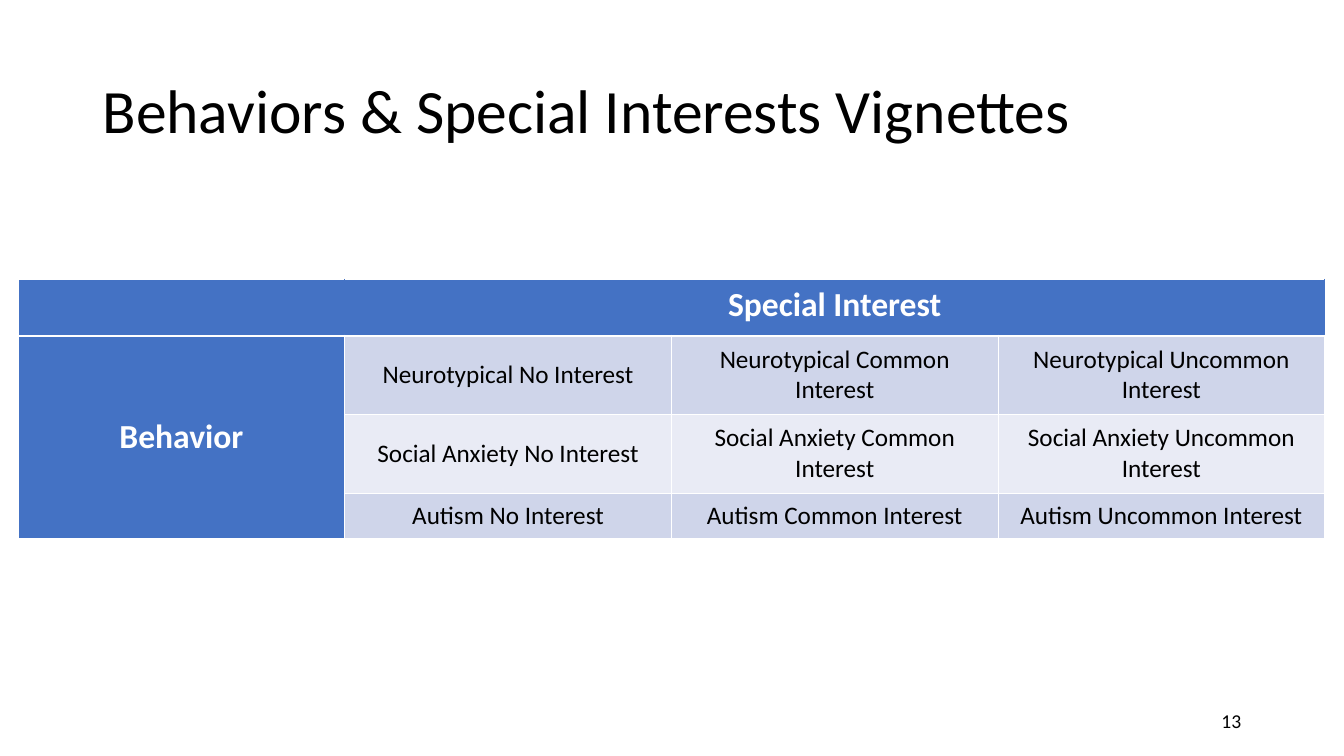
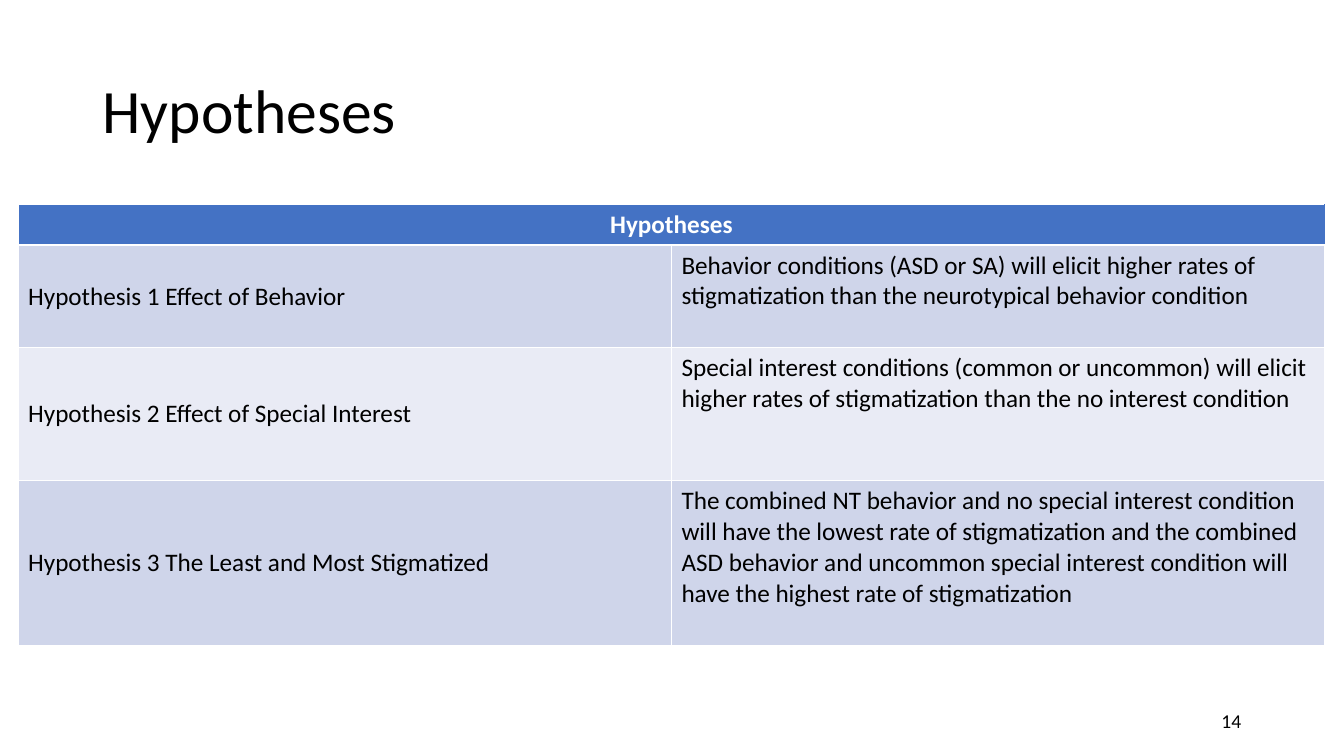
import pptx
import pptx.dml.color
import pptx.enum.text
import pptx.oxml
import pptx.oxml.ns
import pptx.util
from pptx.util import Inches, Pt

ALIGN = pptx.enum.text.PP_ALIGN
ANCHOR = pptx.enum.text.MSO_ANCHOR

FONT = "Calibri"
BLACK, WHITE = "000000", "FFFFFF"
HEADER_FILL = "4472C4"
BAND_FILLS = ["CFD5EA", "E9EBF5"]
THIN, THICK = 0.5, 1.5
TABLE_LEFT, TABLE_WIDTH = 0.18, 12.97


def colour(value):
    return pptx.dml.color.RGBColor.from_string(value)


def style_paragraph(para, size, ink=BLACK, bold=False, align=ALIGN.LEFT):
    para.alignment = align
    para.font.name = FONT
    para.font.size = Pt(size)
    para.font.bold = bold
    para.font.color.rgb = colour(ink)


def add_text(page, text, left, top, width, height, size, align=ALIGN.LEFT):
    box = page.shapes.add_textbox(
        Inches(left), Inches(top), Inches(width), Inches(height))
    frame = box.text_frame
    frame.word_wrap = True
    frame.vertical_anchor = ANCHOR.MIDDLE
    frame.text = text
    para = frame.paragraphs[0]
    style_paragraph(para, size, align=align)
    return para


def add_page(deck, title, number):
    page = deck.slides.add_slide(deck.slide_layouts[6])
    heading = add_text(page, title, 0.92, 0.4, 11.5, 1.45, 44)
    heading.line_spacing = 0.9
    add_text(page, str(number), 9.42, 6.95, 3, 0.4, 14, ALIGN.RIGHT)
    return page


def set_borders(cell, left=(WHITE, THIN), right=(WHITE, THIN),
                top=(WHITE, THIN), bottom=(WHITE, THIN)):
    """Each side is a colour and a width in points; call before filling."""
    properties = cell._tc.get_or_add_tcPr()
    for side, (ink, width) in zip("LRTB", (left, right, top, bottom)):
        properties.append(pptx.oxml.parse_xml(
            f'<a:ln{side} {pptx.oxml.ns.nsdecls("a")} w="{Pt(width)}">'
            f'<a:solidFill><a:srgbClr val="{ink}"/></a:solidFill></a:ln{side}>'))


def fill_cell(cell, text, fill, anchor, **font):
    cell.fill.solid()
    cell.fill.fore_color.rgb = colour(fill)
    cell.vertical_anchor = anchor
    cell.text = text
    style_paragraph(cell.text_frame.paragraphs[0], **font)


def add_banded_table(page, top, heights, rows, header_size, body_styles,
                     header_columns=0):
    """body_styles holds the alignment and anchor of each column."""
    count = len(body_styles)
    frame = page.shapes.add_table(
        len(rows), count, Inches(TABLE_LEFT), Inches(top),
        Inches(TABLE_WIDTH), Inches(sum(heights)))
    table = frame.table
    table.first_row = table.horz_banding = False
    for column in table.columns:
        column.width = Inches(TABLE_WIDTH / count)
    for row, height in zip(table.rows, heights):
        row.height = Inches(height)

    for r, texts in enumerate(rows):
        for c, text in enumerate(texts):
            cell = table.cell(r, c)
            if r == 0:
                seam = (HEADER_FILL, THIN)
                edge = (WHITE, THIN)
                set_borders(cell, left=seam if c else edge,
                            right=seam if c < count - 1 else edge,
                            bottom=(WHITE, THICK))
            else:
                set_borders(cell, top=(WHITE, THICK if r == 1 else THIN))
            if r == 0 or c < header_columns:
                fill_cell(cell, text, HEADER_FILL,
                          ANCHOR.MIDDLE if r else ANCHOR.TOP,
                          size=header_size, ink=WHITE, bold=True,
                          align=ALIGN.CENTER)
            else:
                align, anchor = body_styles[c]
                fill_cell(cell, text, BAND_FILLS[(r - 1) % 2], anchor,
                          size=18, align=align)
    return table


def add_vignettes(deck):
    page = add_page(deck, "Behaviors & Special Interests Vignettes", 13)
    interests = ["No Interest", "Common Interest", "Uncommon Interest"]
    behaviors = ["Neurotypical", "Social Anxiety", "Autism"]
    rows = [["", "Special Interest", "", ""]]
    for behavior in behaviors:
        label = "" if len(rows) > 1 else "Behavior"
        rows.append([label] + [f"{behavior} {name}" for name in interests])
    table = add_banded_table(
        page, 2.77, [0.56, 0.78, 0.78, 0.45], rows, 24,
        [(ALIGN.CENTER, ANCHOR.MIDDLE)] * 4, header_columns=1)
    table.cell(0, 1).merge(table.cell(0, 3))
    table.cell(1, 0).merge(table.cell(3, 0))


def add_hypotheses(deck):
    page = add_page(deck, "Hypotheses", 14)
    rows = [
        ["Hypotheses", ""],
        ["Hypothesis 1 Effect of Behavior",
         "Behavior conditions (ASD or SA) will elicit higher rates of "
         "stigmatization than the neurotypical behavior condition"],
        ["Hypothesis 2 Effect of Special Interest",
         "Special interest conditions (common or uncommon) will "
         "elicit higher rates of stigmatization than the no interest "
         "condition"],
        ["Hypothesis 3 The Least and Most Stigmatized",
         "The combined NT behavior and no special interest condition will "
         "have the lowest rate of stigmatization and the combined ASD "
         "behavior and uncommon special interest condition will have the "
         "highest rate of stigmatization"],
    ]
    table = add_banded_table(
        page, 2.03, [0.4, 1.02, 1.32, 1.63], rows, 18,
        [(ALIGN.LEFT, ANCHOR.MIDDLE), (ALIGN.LEFT, ANCHOR.TOP)])
    table.cell(0, 0).merge(table.cell(0, 1))


def main():
    deck = pptx.Presentation()
    deck.slide_width = Inches(13.34)
    deck.slide_height = Inches(7.5)
    add_vignettes(deck)
    add_hypotheses(deck)
    deck.save("out.pptx")


if __name__ == "__main__":
    main()
